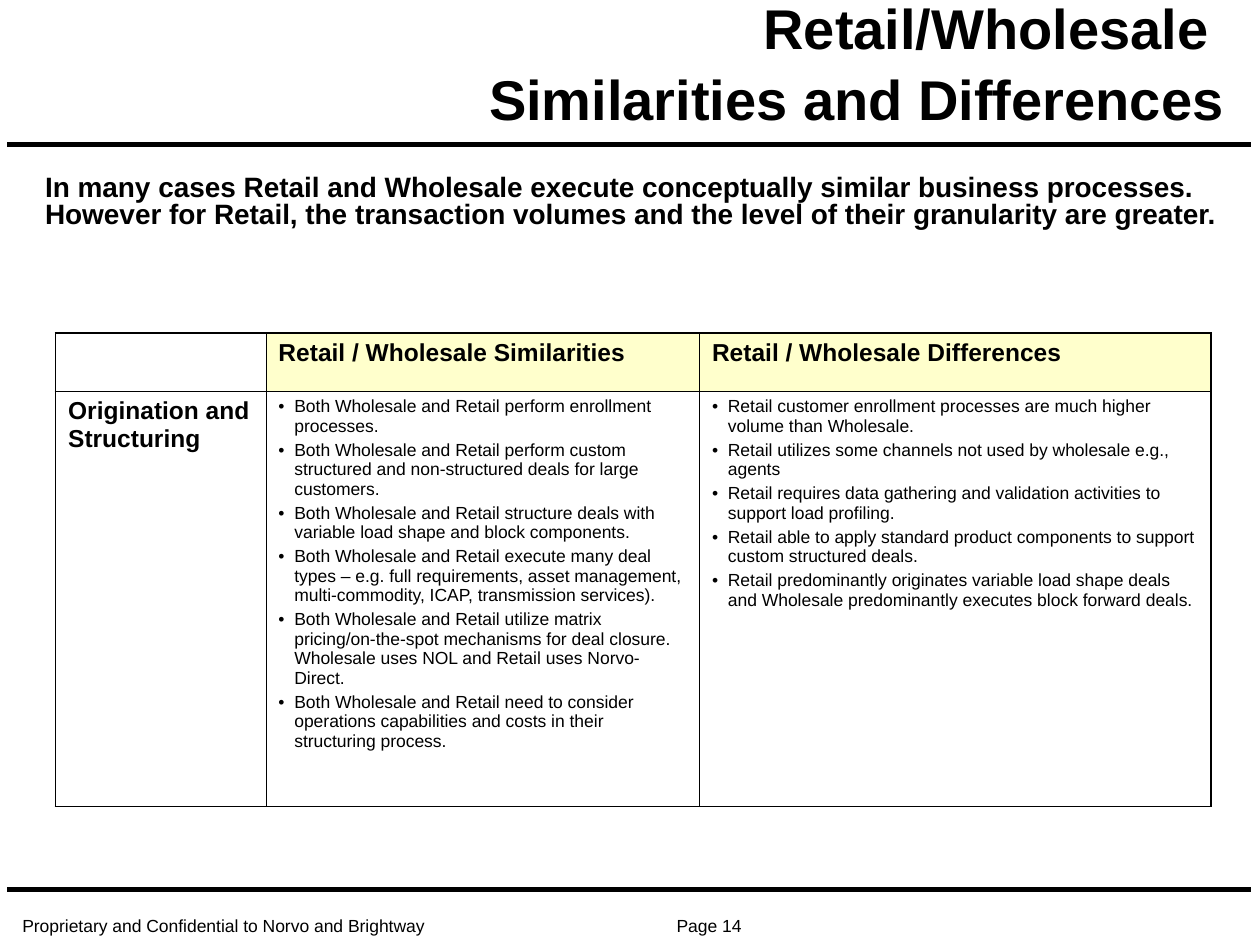
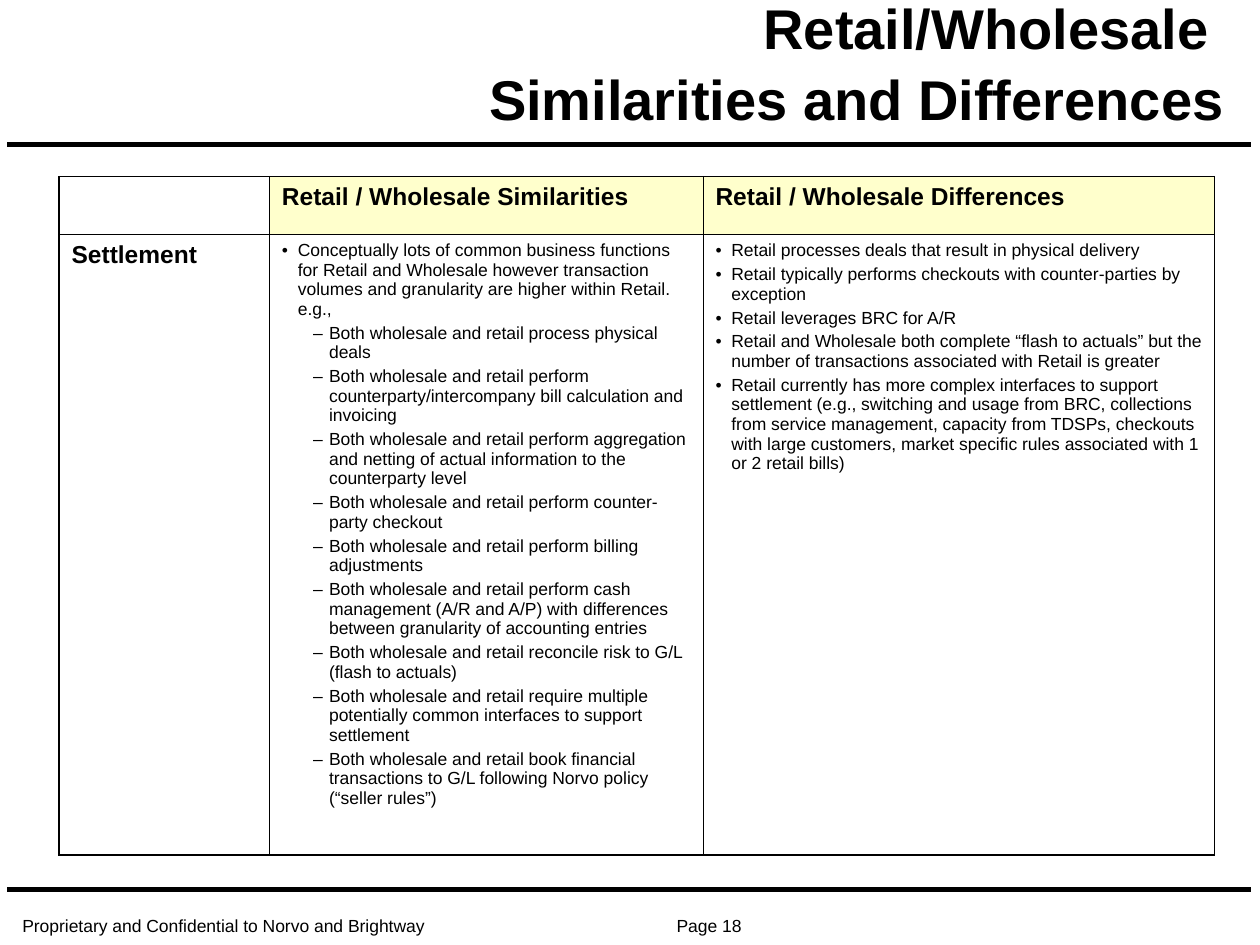
from dataclasses import dataclass

from lxml.etree import SubElement
from pptx import Presentation
from pptx.dml.color import RGBColor
from pptx.enum.shapes import MSO_CONNECTOR
from pptx.enum.text import MSO_ANCHOR, MSO_AUTO_SIZE, PP_ALIGN
from pptx.oxml.ns import qn
from pptx.util import Cm, Pt


@dataclass(frozen=True)
class Theme:
    face: str = "Arial"
    ink: RGBColor = RGBColor(0, 0, 0)
    cream: RGBColor = RGBColor(0xFF, 0xFF, 0xCC)
    title: float = 32
    lead: float = 16
    head: float = 14
    body: float = 10
    rule: float = 3
    thick: float = 1.08
    thin: float = 0.45


THEME = Theme()
TITLE = "Retail/Wholesale \vSimilarities and Differences"
NOTICE = "Proprietary and Confidential to Norvo and Brightway"
HEADS = ["", "Retail / Wholesale Similarities", "Retail / Wholesale Differences"]
COLS = [4.24, 8.74, 10.31]
HEAD_ROW = 1.17
MARKS = "•–"
HANG = 0.32
STEP = 0.63

LEAD = (
    "In many cases Retail and Wholesale execute conceptually similar business processes. "
    "However for Retail, the transaction volumes and the level of their granularity are greater."
)

DEALS_SAME = [
    "Both Wholesale and Retail perform enrollment processes.",
    "Both Wholesale and Retail perform custom structured and non-structured deals for large customers.",
    "Both Wholesale and Retail structure deals with variable load shape and block components.",
    "Both Wholesale and Retail execute many deal types – e.g. full requirements, "
    "asset management, multi-commodity, ICAP, transmission services).",
    "Both Wholesale and Retail utilize matrix pricing/on-the-spot mechanisms for deal closure. "
    "Wholesale uses NOL and Retail uses Norvo-Direct.",
    "Both Wholesale and Retail need to consider operations capabilities and costs "
    "in their structuring process.",
]
DEALS_DIFF = [
    "Retail customer enrollment processes are much higher volume than Wholesale.",
    "Retail utilizes some channels not used by wholesale e.g., agents",
    "Retail requires data gathering and validation activities to support load profiling.",
    "Retail able to apply standard product components to support custom structured deals.",
    "Retail predominantly originates variable load shape deals and Wholesale "
    "predominantly executes block forward deals.",
]
BILLS_SAME = [
    "Conceptually lots of common business functions for Retail and Wholesale however "
    "transaction volumes and granularity are higher within Retail. e.g.,",
    [
        "Both wholesale and retail process physical deals",
        "Both wholesale and retail perform counterparty/intercompany bill calculation and invoicing",
        "Both wholesale and retail perform aggregation and netting of actual information "
        "to the counterparty level",
        "Both wholesale and retail perform counter-party checkout",
        "Both wholesale and retail perform billing adjustments",
        "Both wholesale and retail perform cash management (A/R and A/P) with differences "
        "between granularity of accounting entries",
        "Both wholesale and retail reconcile risk to G/L (flash to actuals)",
        "Both wholesale and retail require multiple potentially common interfaces "
        "to support settlement",
        "Both wholesale and retail book financial transactions to G/L following Norvo policy "
        "(“seller rules”)",
    ],
]
BILLS_DIFF = [
    "Retail processes deals that result in physical delivery",
    "Retail typically performs checkouts with counter-parties by exception",
    "Retail leverages BRC for A/R",
    "Retail and Wholesale both complete “flash to actuals” but the number of transactions "
    "associated with Retail is greater",
    "Retail currently has more complex interfaces to support settlement (e.g., switching and "
    "usage from BRC, collections from service management, capacity from TDSPs, checkouts with "
    "large customers, market specific rules associated with 1 or 2 retail bills)",
]


def style(para, size, bold=False):
    for run in para.runs:
        font = run.font
        font.name, font.size, font.bold = THEME.face, Pt(size), bold
        font.color.rgb = THEME.ink


def place(shape, box):
    shape.left, shape.top, shape.width, shape.height = map(Cm, box)


def add_title(slide):
    shape = slide.shapes.title
    place(shape, (7.14, 0.99, 17.8, 1.8))
    frame = shape.text_frame
    frame.text = TITLE
    frame.word_wrap = True
    frame.auto_size = MSO_AUTO_SIZE.NONE
    frame.vertical_anchor = MSO_ANCHOR.BOTTOM
    para = frame.paragraphs[0]
    para.alignment = PP_ALIGN.RIGHT
    para.line_spacing = 1.06
    style(para, THEME.title, True)


def add_rule(slide, top):
    line = slide.shapes.add_connector(
        MSO_CONNECTOR.STRAIGHT, Cm(0.15), Cm(top), Cm(25.22), Cm(top))
    line.line.color.rgb = THEME.ink
    line.line.width = Pt(THEME.rule)
    SubElement(line._element.spPr, qn("a:effectLst"))


def add_text(slide, box, text, size, bold=False, anchor=MSO_ANCHOR.TOP):
    frame = slide.shapes.add_textbox(*map(Cm, box)).text_frame
    frame.text = text
    frame.word_wrap = True
    frame.vertical_anchor = anchor
    para = frame.paragraphs[0]
    para.line_spacing = 0.8
    style(para, size, bold)
    return para


def add_foot(slide, page):
    para = add_text(slide, (0.2, 18.42, 15.44, 0.58), f"{NOTICE}\tPage {page}",
                    THEME.body, anchor=MSO_ANCHOR.BOTTOM)
    tabs = SubElement(para._p.get_or_add_pPr(), qn("a:tabLst"))
    SubElement(tabs, qn("a:tab"), pos=str(Cm(14.5)), algn="r")


def add_mark(para, level):
    props = para._p.get_or_add_pPr()
    props.set("marL", str(Cm(HANG + STEP * level)))
    props.set("indent", str(-Cm(HANG)))
    color = SubElement(props, qn("a:buClr"))
    SubElement(color, qn("a:srgbClr"), val=str(THEME.ink))
    SubElement(props, qn("a:buFont"), typeface=THEME.face)
    SubElement(props, qn("a:buChar"), char=MARKS[level])


def flatten(points, level=0):
    for point in points:
        if isinstance(point, list):
            yield from flatten(point, level + 1)
        else:
            yield level, point


def fill_points(cell, points):
    frame = cell.text_frame
    for pos, (level, text) in enumerate(flatten(points)):
        para = frame.add_paragraph() if pos else frame.paragraphs[0]
        para.text = text
        para.level = level
        add_mark(para, level)
        if pos:
            para.space_before = Pt(2.5)
        style(para, THEME.body)


def fill_label(cell, text):
    cell.text_frame.text = text
    style(cell.text_frame.paragraphs[0], THEME.head, True)


def frame_cell(cell, row, col):
    outer = {"L": col == 0, "R": col == len(COLS) - 1, "T": row == 0, "B": row == 1}
    props = cell._tc.get_or_add_tcPr()
    for side, edge in outer.items():
        width = Pt(THEME.thick if edge else THEME.thin)
        line = SubElement(props, qn(f"a:ln{side}"), w=str(width))
        paint = SubElement(line, qn("a:solidFill"))
        SubElement(paint, qn("a:srgbClr"), val=str(THEME.ink))
    if row == 0 and col:
        cell.fill.solid()
        cell.fill.fore_color.rgb = THEME.cream
    else:
        cell.fill.background()


def add_grid(slide, left, top, depth, topic, same, diff):
    box = (left, top, sum(COLS), HEAD_ROW + depth)
    table = slide.shapes.add_table(2, len(COLS), *map(Cm, box)).table
    table.first_row = table.horz_banding = False
    for col, width in enumerate(COLS):
        table.columns[col].width = Cm(width)
        for row in range(2):
            frame_cell(table.cell(row, col), row, col)
        fill_label(table.cell(0, col), HEADS[col])
    for row, height in enumerate((HEAD_ROW, depth)):
        table.rows[row].height = Cm(height)
    fill_label(table.cell(1, 0), topic)
    fill_points(table.cell(1, 1), same)
    fill_points(table.cell(1, 2), diff)


def add_slide(deck, page):
    slide = deck.slides.add_slide(deck.slide_layouts[5])
    add_foot(slide, page)
    for top in (2.92, 17.93):
        add_rule(slide, top)
    add_title(slide)
    return slide


def main():
    deck = Presentation()
    deck.slide_width, deck.slide_height = Cm(25.4), Cm(19.05)

    deals = add_slide(deck, 14)
    add_grid(deals, 1.12, 6.71, 8.38, "Origination and Structuring", DEALS_SAME, DEALS_DIFF)
    add_text(deals, (0.66, 3.43, 24.28, 1.35), LEAD, THEME.lead, True)

    bills = add_slide(deck, 18)
    add_grid(bills, 1.19, 3.56, 12.5, "Settlement", BILLS_SAME, BILLS_DIFF)

    deck.save("out.pptx")


if __name__ == "__main__":
    main()
